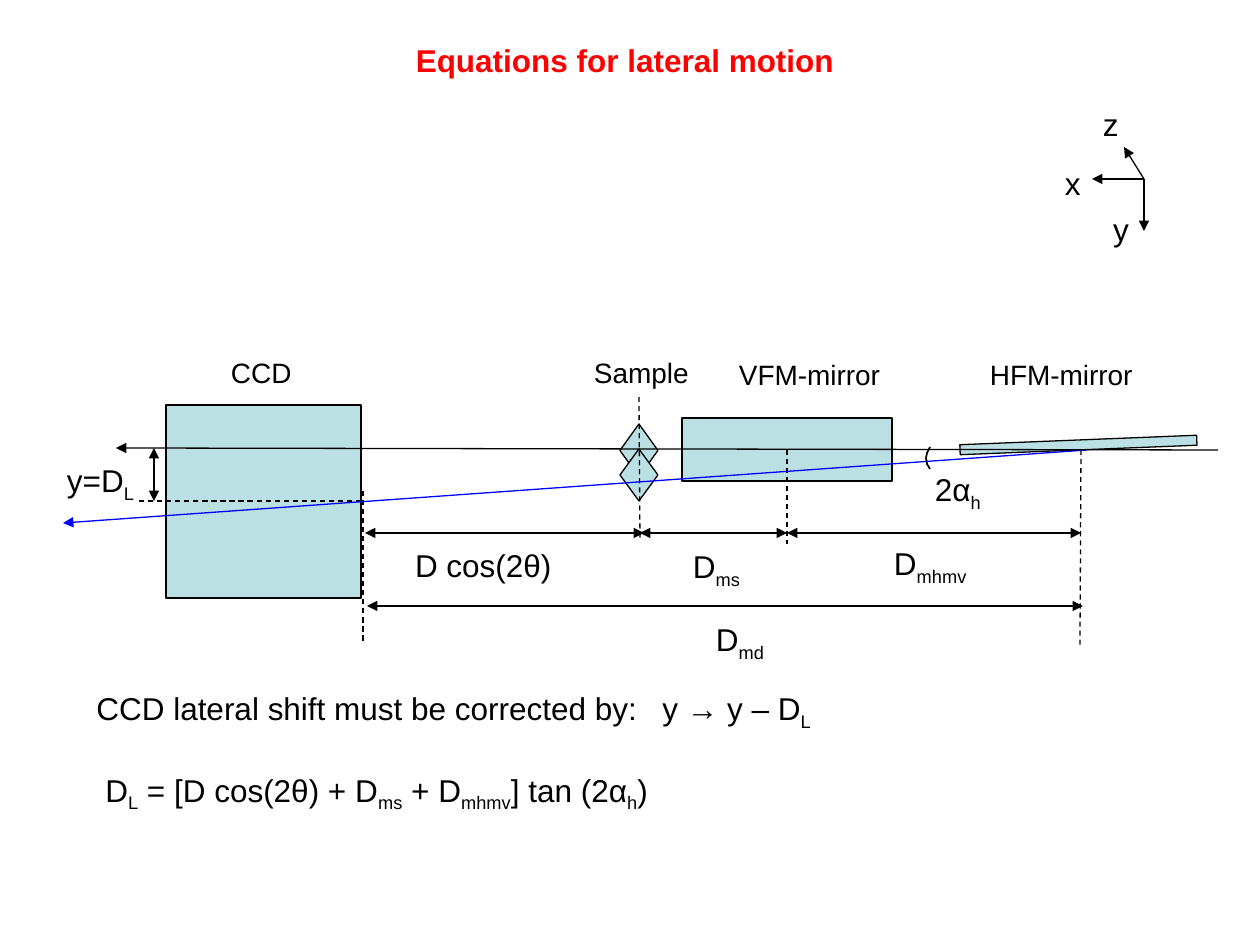
from typing import NamedTuple

from lxml import etree
from pptx import Presentation
from pptx.dml.color import RGBColor
from pptx.enum.dml import MSO_LINE
from pptx.enum.shapes import MSO_CONNECTOR, MSO_SHAPE
from pptx.enum.text import MSO_ANCHOR, PP_ALIGN
from pptx.oxml.ns import qn
from pptx.util import Emu, Pt

EMU_PER_PX = 914400 / 126
STRAIGHT = MSO_CONNECTOR.STRAIGHT
DASH = MSO_LINE.DASH
RECTANGLE, DIAMOND = MSO_SHAPE.RECTANGLE, MSO_SHAPE.DIAMOND
LEFT, CENTER = PP_ALIGN.LEFT, PP_ALIGN.CENTER
TOP, MIDDLE = MSO_ANCHOR.TOP, MSO_ANCHOR.MIDDLE

FONT = "Arial"
BLACK, RED, BLUE, PALE_TEAL = "000000", "FF0000", "0000FF", "BBE0E3"


class Part(NamedTuple):
    """An optical component of the beamline."""
    kind: int
    left: int
    top: int
    width: int
    height: int
    rotation: float = 0


class Line(NamedTuple):
    x1: int
    y1: int
    x2: int
    y2: int
    start_arrow: bool = False
    end_arrow: bool = False
    dashed: bool = False
    color: str = BLACK


class Label(NamedTuple):
    """Text in which every second piece between bars is a subscript."""
    text: str
    left: int
    top: int
    width: int
    height: int
    size: int = 18
    color: str = BLACK
    bold: bool = False
    align: int = LEFT
    anchor: int = TOP


PARTS = [
    Part(RECTANGLE, 682, 418, 210, 63),          # VFM mirror
    Part(DIAMOND, 620, 424, 38, 53),             # sample
    Part(DIAMOND, 620, 449, 38, 52),             # shifted sample
    Part(RECTANGLE, 960, 440, 237, 10, -2.3),    # HFM mirror
    Part(RECTANGLE, 166, 405, 195, 193),         # CCD
]

AXES_X, AXES_Y = 1144, 179
SPAN_Y = 533
LINES = [
    # Coordinate axes
    Line(AXES_X, AXES_Y, AXES_X, 231, end_arrow=True),
    Line(AXES_X, AXES_Y, 1092, AXES_Y, end_arrow=True),
    Line(AXES_X, AXES_Y, 1124, 147, end_arrow=True),
    # Reference planes
    Line(1081, 450, 1080, 646, dashed=True),
    Line(639, 397, 640, 538, dashed=True),
    Line(787, 450, 787, 544, dashed=True),
    Line(363, 491, 363, 642, dashed=True),
    Line(361, 501, 139, 501, dashed=True),
    # Distances
    Line(365, SPAN_Y, 644, SPAN_Y, True, True),
    Line(640, SPAN_Y, 787, SPAN_Y, True, True),
    Line(787, SPAN_Y, 1081, SPAN_Y, True, True),
    Line(367, 606, 1083, 606, True, True),
    Line(154, 448, 154, 501, True, True),
    # Deflected and straight beams
    Line(1087, 450, 63, 523, end_arrow=True, color=BLUE),
    Line(1218, 450, 116, 448, end_arrow=True),
]

ANGLE_ARC = [(930, 447), (927, 453), (926, 458), (927, 464), (930, 469)]

LABELS = [
    Label("Equations for lateral motion", 403, 35, 444, 50,
          color=RED, bold=True, align=CENTER),
    Label("x", 1065, 164, 21, 38),
    Label("y", 1113, 210, 21, 38),
    Label("z", 1103, 105, 21, 38),
    Label("D|ms", 693, 547, 53, 43),
    Label("D cos(2θ)", 415, 546, 170, 43),
    Label("D|mhmv", 894, 544, 88, 43),
    Label("D|md", 716, 620, 53, 43),
    Label("2α|h", 935, 470, 95, 43),
    Label("y=D|L", 53, 461, 95, 43, align=CENTER),
    Label("CCD", 231, 355, 86, 34, 16, anchor=MIDDLE),
    Label("Sample", 594, 355, 107, 34, 16, anchor=MIDDLE),
    Label("VFM-mirror", 739, 357, 150, 34, 16, anchor=MIDDLE),
    Label("HFM-mirror", 990, 357, 150, 34, 16, anchor=MIDDLE),
]

CORRECTION = "CCD lateral shift must be corrected by:\ty → y – D|L"
EQUATION = "D|L| = [D cos(2θ) + D|ms| + D|mhmv|] tan (2α|h|)"


def px(value: float) -> Emu:
    return Emu(round(value * EMU_PER_PX))


def rgb(color: str) -> RGBColor:
    return RGBColor.from_string(color)


def draw_part(slide, part: Part) -> None:
    shape = slide.shapes.add_shape(part.kind, px(part.left), px(part.top),
                                   px(part.width), px(part.height))
    shape.rotation = part.rotation
    shape.shadow.inherit = False
    shape.fill.solid()
    shape.fill.fore_color.rgb = rgb(PALE_TEAL)
    shape.line.color.rgb = rgb(BLACK)
    shape.line.width = Pt(0.75)


def draw_line(slide, line: Line) -> None:
    connector = slide.shapes.add_connector(
        STRAIGHT, px(line.x1), px(line.y1), px(line.x2), px(line.y2))
    connector.line.color.rgb = rgb(line.color)
    connector.line.width = Pt(0.75)
    if line.dashed:
        connector.line.dash_style = DASH
    outline = connector.line._get_or_add_ln()
    for tag, wanted in (("a:headEnd", line.start_arrow), ("a:tailEnd", line.end_arrow)):
        if wanted:
            etree.SubElement(outline, qn(tag), type="triangle")
    etree.SubElement(connector._element.spPr, qn("a:effectLst"))


def draw_arc(slide, points: list[tuple[int, int]]) -> None:
    builder = slide.shapes.build_freeform(*points[0], scale=EMU_PER_PX)
    builder.add_line_segments(points[1:], close=False)
    shape = builder.convert_to_shape()
    shape.shadow.inherit = False
    shape.fill.background()
    shape.line.color.rgb = rgb(BLACK)
    shape.line.width = Pt(1)


def write(paragraph, text: str, size: int, color: str, bold: bool = False) -> None:
    for index, piece in enumerate(text.split("|")):
        run = paragraph.add_run()
        run.text = piece
        if index % 2:
            run._r.get_or_add_rPr().set("baseline", "-25000")
    paragraph.font.name = FONT
    paragraph.font.size = Pt(size)
    paragraph.font.bold = bold
    paragraph.font.color.rgb = rgb(color)


def add_frame(slide, left: int, top: int, width: int, height: int):
    frame = slide.shapes.add_textbox(px(left), px(top), px(width), px(height)).text_frame
    frame.word_wrap = True
    return frame


def draw_label(slide, label: Label) -> None:
    frame = add_frame(slide, label.left, label.top, label.width, label.height)
    frame.vertical_anchor = label.anchor
    frame.margin_left = frame.margin_right = 0
    if label.size == 16 or not label.bold:
        frame.margin_top = frame.margin_bottom = 0
    paragraph = frame.paragraphs[0]
    paragraph.alignment = label.align
    write(paragraph, label.text, label.size, label.color, label.bold)


def draw_equations(slide) -> None:
    frame = add_frame(slide, 84, 683, 1081, 174)
    correction = frame.paragraphs[0]
    tabs = etree.SubElement(correction._p.get_or_add_pPr(), qn("a:tabLst"))
    etree.SubElement(tabs, qn("a:tab"), pos=str(px(566)), algn="l")
    write(correction, CORRECTION, 18, BLACK)

    equation = frame.add_paragraph()
    equation._p.get_or_add_pPr().set("marL", str(px(9)))
    equation.space_before = Pt(22)
    write(equation, EQUATION, 18, BLACK)


def main() -> None:
    presentation = Presentation()
    presentation.slide_width, presentation.slide_height = px(1260), px(945)
    slide = presentation.slides.add_slide(presentation.slide_layouts[6])
    for part in PARTS:
        draw_part(slide, part)
    for line in LINES:
        draw_line(slide, line)
    draw_arc(slide, ANGLE_ARC)
    for label in LABELS:
        draw_label(slide, label)
    draw_equations(slide)
    presentation.save("out.pptx")


if __name__ == "__main__":
    main()
